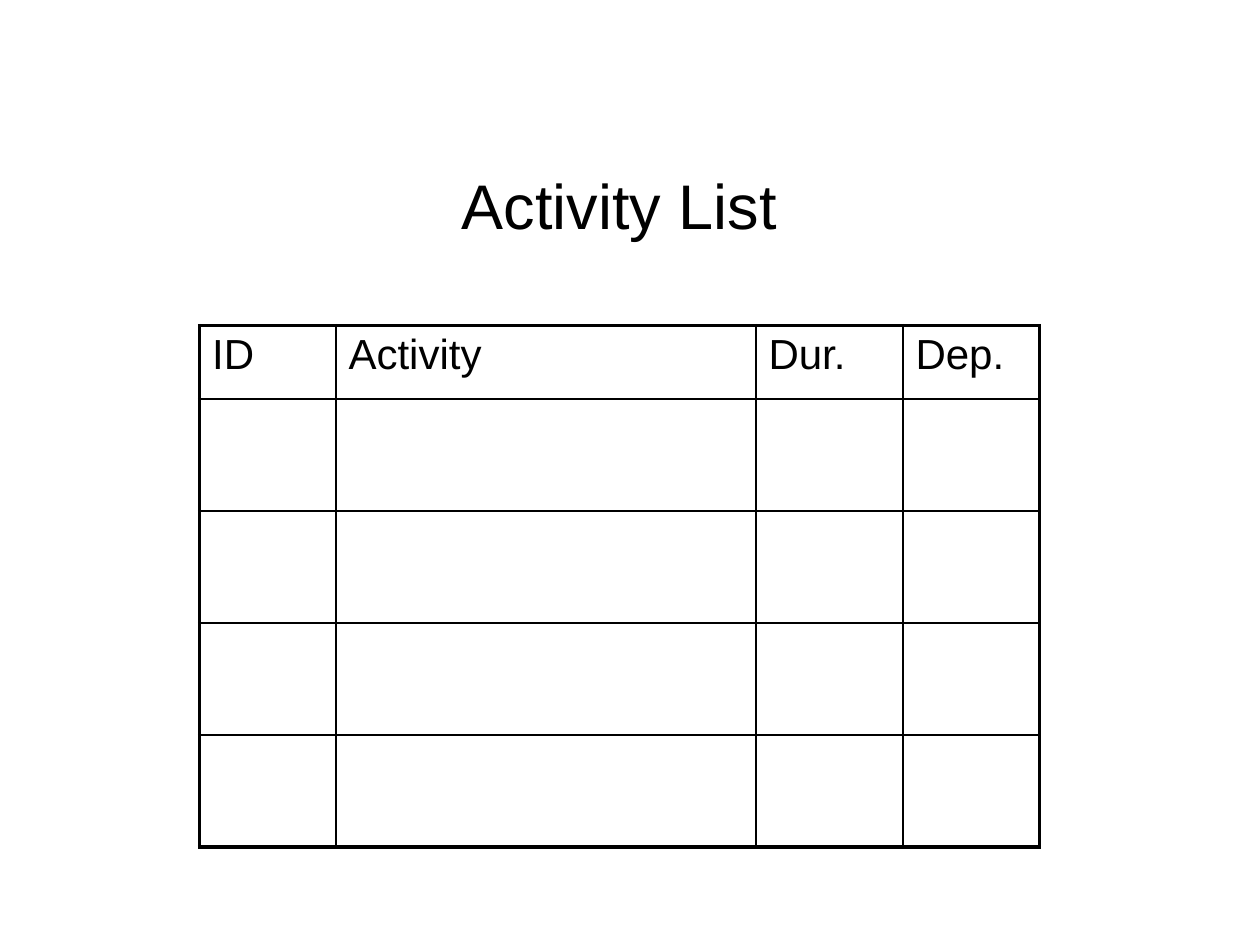
from dataclasses import dataclass

from lxml.etree import SubElement
from pptx import Presentation
from pptx.dml.color import RGBColor as RGB
from pptx.enum.text import MSO_ANCHOR as ANCHOR, PP_ALIGN as ALIGN
from pptx.oxml.ns import qn
from pptx.util import Inches, Pt


@dataclass(frozen=True)
class Theme:
    font: str = "Arial"
    ink: str = "000000"
    title: float = 36
    body: float = 24
    frame: float = 2.25
    rule: float = 1


def grid(n):
    return Inches(n / 12)


def write(tf, text, theme, size, align=ALIGN.LEFT, anchor=ANCHOR.TOP):
    tf.word_wrap = True
    tf.vertical_anchor = anchor
    p = tf.paragraphs[0]
    p.alignment = align
    r = p.add_run()
    r.text = text
    r.font.name, r.font.size = theme.font, Pt(size)
    r.font.color.rgb = RGB.from_string(theme.ink)


class Page:
    """Draws styled elements on one slide, on a grid of twelfths of an inch."""

    def __init__(self, slide, theme):
        self.s, self.theme = slide, theme

    def title(self, text, *box):
        sp = self.s.shapes.add_textbox(*map(grid, box))
        write(sp.text_frame, text, self.theme, self.theme.title,
              align=ALIGN.CENTER, anchor=ANCHOR.MIDDLE)

    def borders(self, cell, outer):
        props = cell.fill._xPr
        for i, (side, is_outer) in enumerate(outer.items()):
            width = self.theme.frame if is_outer else self.theme.rule
            ln = props.makeelement(qn(f"a:ln{side}"), {"w": str(Pt(width))})
            props.insert(i, ln)
            fill = SubElement(ln, qn("a:solidFill"))
            SubElement(fill, qn("a:srgbClr"), val=self.theme.ink)

    def table(self, headings, left, top, widths, heights):
        frame = self.s.shapes.add_table(
            len(heights), len(widths), grid(left), grid(top),
            grid(sum(widths)), grid(sum(heights)))
        table = frame.table
        table.first_row = table.horz_banding = False
        for col, width in zip(table.columns, widths):
            col.width = grid(width)
        for row, height in zip(table.rows, heights):
            row.height = grid(height)
        last_row, last_col = len(heights) - 1, len(widths) - 1
        for i, row in enumerate(table.rows):
            for j, cell in enumerate(row.cells):
                cell.fill.background()
                self.borders(cell, {"L": j == 0, "R": j == last_col,
                                    "T": i == 0, "B": i == last_row})
        for cell, text in zip(table.rows[0].cells, headings):
            write(cell.text_frame, text, self.theme, self.theme.body)


prs = Presentation()
prs.slide_width, prs.slide_height = Inches(10), Inches(7.5)
page = Page(prs.slides.add_slide(prs.slide_layouts[6]), Theme())
page.title("Activity List", 8, 12, 102, 15)
page.table(["ID", "Activity", "Dur.", "Dep."], 19, 31,
           widths=[13, 40, 14, 13], heights=[7] + [10.67] * 4)
prs.save("out.pptx")
